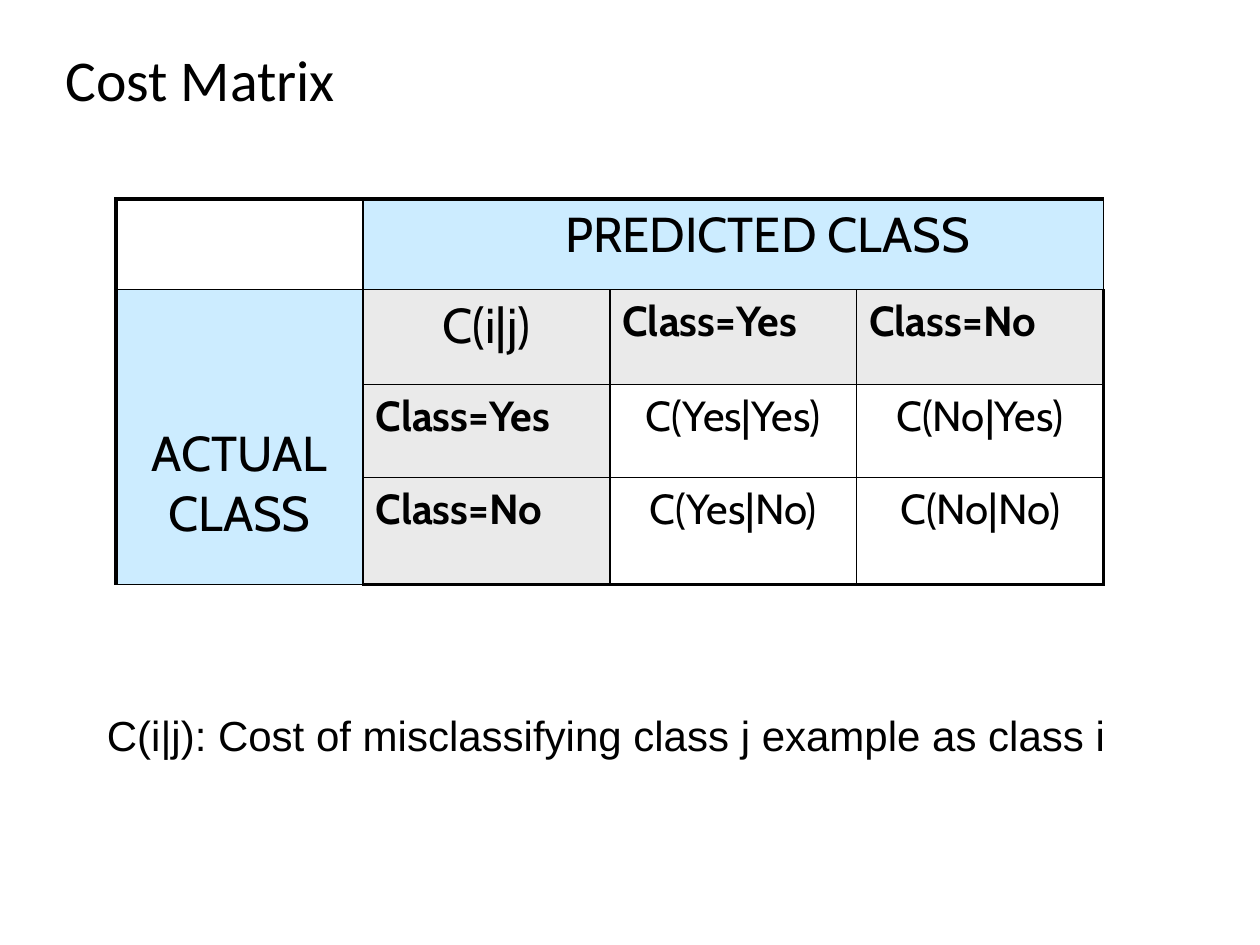
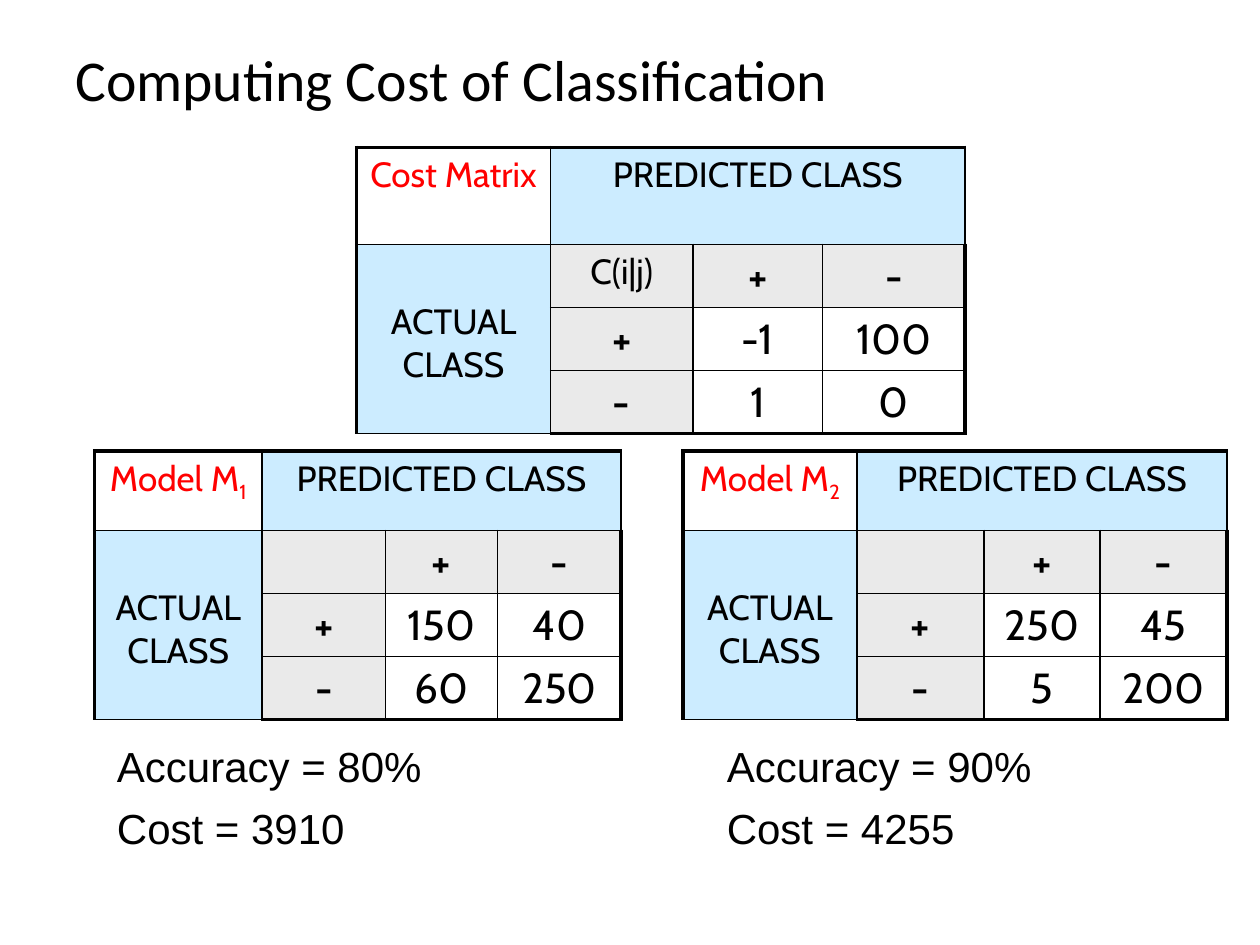
from dataclasses import dataclass

from lxml import etree
from pptx import Presentation
from pptx.dml.color import RGBColor
from pptx.enum.text import MSO_ANCHOR, PP_ALIGN
from pptx.oxml.ns import qn
from pptx.util import Inches, Pt

LEFT, CENTER = PP_ALIGN.LEFT, PP_ALIGN.CENTER
MIDDLE = MSO_ANCHOR.MIDDLE


@dataclass(frozen=True)
class Theme:
    ink: str = "000000"
    accent: str = "FF0000"
    band: str = "CCECFF"
    label: str = "EAEAEA"
    title_font: str = "Calibri"
    table_font: str = "Cabin"
    note_font: str = "Arial"
    title_size: int = 33
    body_size: int = 24
    outer_line: float = 2.25
    inner_line: float = 1


@dataclass(frozen=True)
class MatrixStyle:
    """What differs between the large matrix and the compact ones."""
    columns: tuple
    header_size: int
    label_align: PP_ALIGN
    actual_top: float
    predicted_left: float = 1.2


THEME = Theme()
LARGE = MatrixStyle((0.25,) * 4, 28, LEFT, 12.8, 7.7)
COMPACT = MatrixStyle((0.319, 0.234, 0.213, 0.234), 20, CENTER, 5.45)


def grid(units):
    """Length on the page grid of 120 columns and 90 rows."""
    return Inches(round(units / 12, 2))


def style_span(span, font, size, color=THEME.ink, bold=False):
    span.font.name = font
    span.font.size = Pt(size)
    span.font.bold = bold
    span.font.color.rgb = RGBColor.from_string(color)


def add_lines(page, place, lines, font, size):
    box = page.shapes.add_textbox(*map(grid, place))
    frame = box.text_frame
    frame.word_wrap = True
    frame.text = "\n".join(lines)
    for para in frame.paragraphs:
        style_span(para.runs[0], font, size)
    return frame


def add_title(page, left, text):
    frame = add_lines(page, (left, 0, 108, 15), [text],
                      THEME.title_font, THEME.title_size)
    frame.vertical_anchor = MIDDLE


def add_note(page, place, *lines):
    frame = add_lines(page, place, lines, THEME.note_font, THEME.body_size)
    for para in frame.paragraphs:
        para.space_before, para.space_after = Pt(2.5), Pt(4)


def set_borders(cell, row, column, last):
    """Heavy lines on the table's edge, thin lines inside."""
    edges = {"L": column == 0, "R": column == last,
             "T": row == 0, "B": row == last}
    properties = cell._tc.get_or_add_tcPr()
    for position, (side, outer) in enumerate(edges.items()):
        width = THEME.outer_line if outer else THEME.inner_line
        line = etree.Element(qn(f"a:ln{side}"), w=str(Pt(width)))
        fill = etree.SubElement(line, qn("a:solidFill"))
        etree.SubElement(fill, qn("a:srgbClr"), val=THEME.ink)
        properties.insert(position, line)


def write_cell(cell, text, size, color=THEME.ink, bold=False,
               align=CENTER, subscript=""):
    para = cell.text_frame.paragraphs[0]
    para.text = text
    para.alignment = align
    if subscript:
        span = para.add_run()
        span.text = subscript
        span.font._element.set("baseline", "-25000")
    for span in para.runs:
        style_span(span, THEME.table_font, size, color, bold)


def cell_color(row, column):
    if row == 0 and column == 0:
        return None
    if row == 0 or column == 0:
        return THEME.band
    return THEME.label if row == 1 or column == 1 else None


def add_matrix(page, place, rows, style, labels, values,
               corner="", subscript="", key=""):
    """Confusion-style table: predicted classes across, actual classes down."""
    left, top, width = place
    table = page.shapes.add_table(
        4, 4, *map(grid, (left, top, width, sum(rows)))).table
    table.first_row = table.horz_banding = False
    for column, share in zip(table.columns, style.columns):
        column.width = grid(width * share)
    for row, height in zip(table.rows, rows):
        row.height = grid(height)
    last = len(rows) - 1
    for row in range(len(rows)):
        for column in range(len(style.columns)):
            cell = table.cell(row, column)
            color = cell_color(row, column)
            if color:
                cell.fill.solid()
                cell.fill.fore_color.rgb = RGBColor.from_string(color)
            else:
                cell.fill.background()
            set_borders(cell, row, column, last)

    predicted, actual = table.cell(0, 1), table.cell(1, 0)
    predicted.merge(table.cell(0, last))
    actual.merge(table.cell(last, 0))
    predicted.margin_left = grid(style.predicted_left)
    actual.margin_top = grid(style.actual_top)
    write_cell(predicted, "PREDICTED CLASS", style.header_size)
    write_cell(actual, "ACTUAL\vCLASS", style.header_size)
    if corner:
        write_cell(table.cell(0, 0), corner, style.header_size,
                   THEME.accent, subscript=subscript)
    if key:
        write_cell(table.cell(1, 1), key, style.header_size)

    for index, label in enumerate(labels, start=2):
        for cell in (table.cell(1, index), table.cell(index, 1)):
            write_cell(cell, label, THEME.body_size, bold=True,
                       align=style.label_align)
    for row, line in enumerate(values, start=2):
        for column, value in enumerate(line, start=2):
            write_cell(table.cell(row, column), str(value), THEME.body_size)


def build_cost_matrix(page):
    classes = ("Yes", "No")
    add_title(page, 5, "Cost Matrix")
    add_matrix(page, (11, 19, 94), (8.6, 9, 8.9, 10.2), LARGE,
               [f"Class={name}" for name in classes],
               [[f"C({guess}|{truth})" for guess in classes]
                for truth in classes], key="C(i|j)")
    add_note(page, (9, 67, 103, 12),
             "C(i|j): Cost of misclassifying class j example as class i")


def build_cost_of_classification(page):
    signs = ("+", "-")
    add_title(page, 6, "Computing Cost of Classification")
    add_matrix(page, (34, 14, 58), (9.2, 6, 6, 6), COMPACT, signs,
               ((-1, 100), (1, 0)), corner="Cost Matrix", key="C(i|j)")
    models = (
        ("1", 9, 50, 10, ((150, 40), (60, 250)), "80%", 3910),
        ("2", 65, 52, 68, ((250, 45), (5, 200)), "90%", 4255),
    )
    for number, left, width, note_left, counts, accuracy, cost in models:
        add_matrix(page, (left, 43, width), (7.6, 6, 6, 6), COMPACT, signs,
                   counts, corner="Model M", subscript=number)
        add_note(page, (note_left, 70, 40, 13),
                 f"Accuracy = {accuracy}", f"Cost = {cost}")


def main():
    deck = Presentation()
    deck.slide_width, deck.slide_height = grid(120), grid(90)
    blank = deck.slide_layouts[6]
    for build in (build_cost_matrix, build_cost_of_classification):
        build(deck.slides.add_slide(blank))
    deck.save("out.pptx")


if __name__ == "__main__":
    main()
